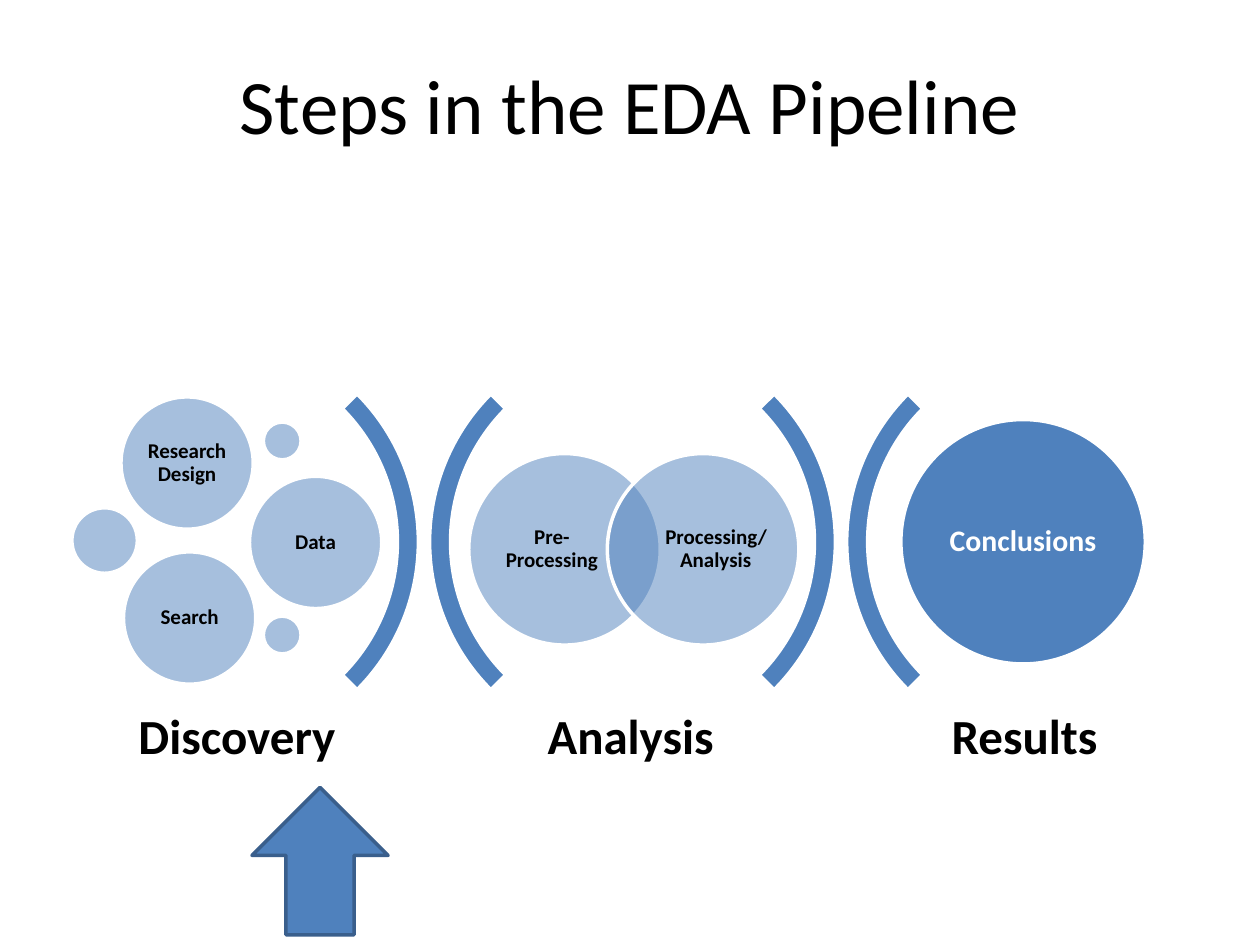
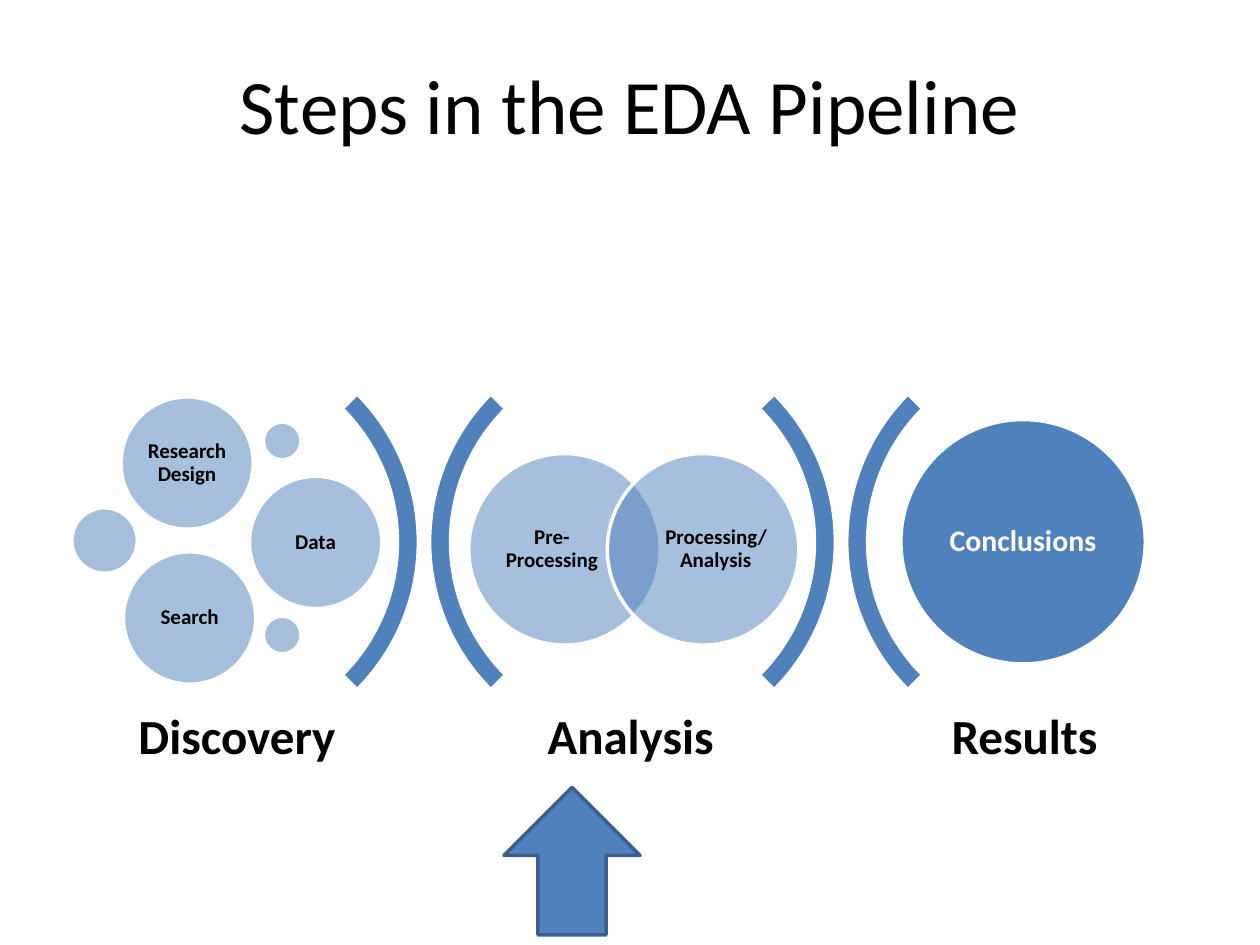
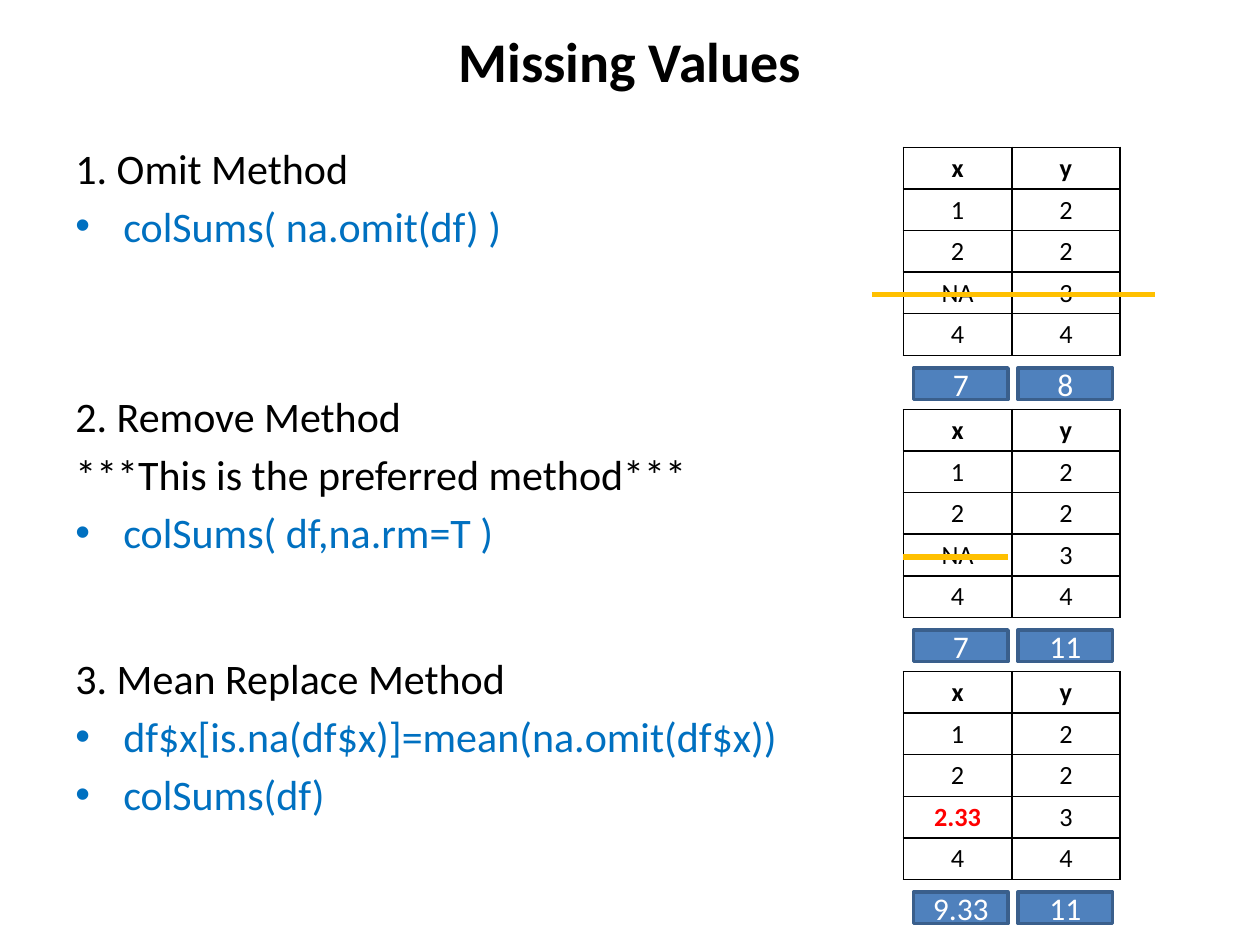
import dataclasses

import lxml.etree
import pptx
import pptx.dml.color
import pptx.enum.shapes
import pptx.enum.text
import pptx.oxml.ns
import pptx.util

Inches = pptx.util.Inches
Pt = pptx.util.Pt
qn = pptx.oxml.ns.qn
PRESET = pptx.enum.shapes.MSO_SHAPE
ALIGN = pptx.enum.text.PP_ALIGN
ANCHOR = pptx.enum.text.MSO_ANCHOR


@dataclasses.dataclass(frozen=True)
class Theme:
    font: str = "Calibri"
    ink: str = "000000"
    paper: str = "FFFFFF"
    blue: str = "4F81BD"
    edge: str = "3A5F8C"
    code: str = "0070C0"
    strike: str = "FFC000"
    replaced: str = "FF0000"
    title: int = 44
    heading: int = 32
    stage: int = 28
    body: int = 24
    total: int = 18
    conclusion: int = 17
    cell: int = 15
    step: int = 12


THEME = Theme()
DEFAULT_INSETS = (0.1, 0.05, 0.1, 0.05)
STAGES = ("Discovery", "Analysis", "Results")
STAGE_PITCH = 3.125
ARC_SIZE = 3.32
ARC_PITCH = 3.31
DISCOVERY_STEPS = (
    ("Research Design", 0.96, 3.15),
    ("Data", 1.98, 3.78),
    ("Search", 0.98, 4.38),
)
DISCOVERY_DOTS = ((0.57, 4.03, 0.52), (2.09, 3.35, 0.3), (2.09, 4.89, 0.3))
METHOD_LINES = (
    ("1. Omit Method", False, 4.4),
    ("colSums( na.omit(df) )", True, 4.4),
    ("2. Remove Method", False, 79.8),
    ("***This is the preferred method***", False, 4.4),
    ("colSums( df,na.rm=T )", True, 4.4),
    ("3. Mean Replace Method", False, 54.7),
    ("df$x[is.na(df$x)]=mean(na.omit(df$x))", True, 4.4),
    ("colSums(df)", True, 4.4),
)
METHOD_RESULTS = (
    ("NA", ("7", "8"), (6.92, 9.17)),
    ("NA", ("7", "11"), (7.17, 8)),
    ("2.33", ("9.33", "11"), None),
)
TABLE_LEFT, TABLE_TOP, TABLE_PITCH = 7.17, 1.17, 2.08
COLUMN_WIDTH, ROW_HEIGHT = 0.86, 0.33


def rgb(value):
    return pptx.dml.color.RGBColor.from_string(value)


def box(left, top, width, height):
    return [Inches(length) for length in (left, top, width, height)]


def write(paragraph, text, *, size, color=THEME.ink, bold=False,
          align=ALIGN.CENTER, spacing=None, before=None):
    paragraph.alignment = align
    if spacing:
        paragraph.line_spacing = spacing
    if before:
        paragraph.space_before = Pt(before)
    run = paragraph.add_run()
    run.text = text
    run.font.name = THEME.font
    run.font.size = Pt(size)
    run.font.bold = bold
    run.font.color.rgb = rgb(color)


def prepare_frame(frame, insets=DEFAULT_INSETS, anchor=ANCHOR.MIDDLE):
    frame.word_wrap = True
    frame.vertical_anchor = anchor
    (frame.margin_left, frame.margin_top,
     frame.margin_right, frame.margin_bottom) = box(*insets)
    return frame.paragraphs[0]


def add_label(slide, area, text, insets=DEFAULT_INSETS, **text_format):
    frame = slide.shapes.add_textbox(*box(*area)).text_frame
    write(prepare_frame(frame, insets), text, **text_format)


def add_solid(slide, preset, area, edge=THEME.paper, opacity=None):
    solid = slide.shapes.add_shape(preset, *box(*area))
    solid.shadow.inherit = False
    solid.fill.solid()
    solid.fill.fore_color.rgb = rgb(THEME.blue)
    solid.line.color.rgb = rgb(edge)
    solid.line.width = Pt(2)
    if opacity:
        color = solid.fill._xPr.find(qn("a:solidFill"))[0]
        lxml.etree.SubElement(color, qn("a:alpha"), val=str(opacity * 1000))
    return solid


def add_circle(slide, left, top, diameter, text="", insets=(0.05,) * 4,
               opacity=50, **text_format):
    circle = add_solid(slide, PRESET.OVAL, (left, top, diameter, diameter),
                       opacity=opacity)
    if text:
        write(prepare_frame(circle.text_frame, insets), text,
              bold=True, spacing=0.9, **text_format)


def add_arc(slide, left, rotation):
    arc = add_solid(slide, PRESET.BLOCK_ARC, (left, 2.64, ARC_SIZE, ARC_SIZE))
    arc.rotation = rotation
    for index, value in enumerate((135, 189, 0.05)):
        arc.adjustments[index] = value


def add_strike(slide, start, end, top):
    strike = slide.shapes.add_connector(
        pptx.enum.shapes.MSO_CONNECTOR.STRAIGHT,
        Inches(start), Inches(top), Inches(end), Inches(top))
    strike.line.color.rgb = rgb(THEME.strike)
    strike.line.width = Pt(3)
    lxml.etree.SubElement(strike._element.spPr, qn("a:effectLst"))


def add_borders(cell):
    properties = cell._tc.get_or_add_tcPr()
    for side in ("a:lnL", "a:lnR", "a:lnT", "a:lnB"):
        border = lxml.etree.SubElement(properties, qn(side), w=str(Pt(1)))
        fill = lxml.etree.SubElement(border, qn("a:solidFill"))
        lxml.etree.SubElement(fill, qn("a:srgbClr"), val=THEME.ink)


def add_data_table(slide, top, missing):
    rows = (("x", "y"), ("1", "2"), ("2", "2"), (missing, "3"), ("4", "4"))
    table = slide.shapes.add_table(
        len(rows), 2,
        *box(TABLE_LEFT, top, 2 * COLUMN_WIDTH, len(rows) * ROW_HEIGHT)).table
    table.first_row = table.horz_banding = False
    for column in table.columns:
        column.width = Inches(COLUMN_WIDTH)
    for row_index, values in enumerate(rows):
        table.rows[row_index].height = Inches(ROW_HEIGHT)
        for column_index, value in enumerate(values):
            cell = table.cell(row_index, column_index)
            (cell.margin_left, cell.margin_top,
             cell.margin_right, cell.margin_bottom) = box(0.08, 0.04, 0.08, 0.04)
            add_borders(cell)
            cell.fill.background()
            is_mean = value == "2.33"
            write(cell.text_frame.paragraphs[0], value, size=THEME.cell,
                  bold=row_index == 0 or is_mean,
                  color=THEME.replaced if is_mean else THEME.ink)


def add_totals(slide, top, totals):
    for index, total in enumerate(totals):
        badge = add_solid(slide, PRESET.RECTANGLE,
                          (7.25 + 0.83 * index, top, 0.75, 0.25), THEME.edge)
        write(prepare_frame(badge.text_frame), total,
              size=THEME.total, color=THEME.paper)


def add_methods(slide):
    frame = slide.shapes.add_textbox(*box(0.5, 1.08, 6.58, 6.17)).text_frame
    paragraph = prepare_frame(frame, anchor=ANCHOR.TOP)
    for index, (text, is_code, before) in enumerate(METHOD_LINES):
        if index:
            paragraph = frame.add_paragraph()
        write(paragraph, text, size=THEME.body, align=ALIGN.LEFT, before=before,
              color=THEME.code if is_code else THEME.ink)
        properties = paragraph._p.get_or_add_pPr()
        properties.set("marL", str(Inches(0.38)))
        properties.set("indent", str(-Inches(0.38)))
        if is_code:
            lxml.etree.SubElement(properties, qn("a:buFont"), typeface="Arial")
            lxml.etree.SubElement(properties, qn("a:buChar"), char="•")
        else:
            lxml.etree.SubElement(properties, qn("a:buNone"))


def build_pipeline(slide, arrow_left):
    add_label(slide, (0, 0, 10, 1.65), "Steps in the EDA Pipeline", size=THEME.title)
    for index in range(2):
        add_arc(slide, ARC_PITCH * index, 90)
        add_arc(slide, 3.41 + ARC_PITCH * index, 270)
    for left, top, diameter in DISCOVERY_DOTS:
        add_circle(slide, left, top, diameter)
    for step, left, top in DISCOVERY_STEPS:
        add_circle(slide, left, top, 1.05, step, size=THEME.step)
    add_circle(slide, 3.72, 3.6, 1.52, "Pre-Processing",
               insets=(0, 0, 0.2, 0), size=THEME.step)
    add_circle(slide, 4.82, 3.6, 1.52, "Processing/Analysis",
               insets=(0.2, 0, 0, 0), size=THEME.step)
    add_circle(slide, 7.15, 3.33, 1.94, "Conclusions", opacity=None,
               size=THEME.conclusion, color=THEME.paper)
    for index, stage in enumerate(STAGES):
        add_label(slide, (0.62 + STAGE_PITCH * index, 5.53, 2.52, 0.66), stage,
                  insets=(0.12,) * 4, size=THEME.stage, bold=True, spacing=0.9)
    add_solid(slide, PRESET.UP_ARROW, (arrow_left, 6.25, 1.08, 1.17), THEME.edge)


def build_missing_values(slide):
    add_methods(slide)
    add_label(slide, (0.69, 0.18, 8.62, 0.66), "Missing Values",
              size=THEME.heading, bold=True, spacing=0.9)
    for index, (missing, totals, strike) in enumerate(METHOD_RESULTS):
        top = TABLE_TOP + TABLE_PITCH * index
        add_data_table(slide, top, missing)
        add_totals(slide, top + 1.75, totals)
        if strike:
            add_strike(slide, *strike, top + 1.17)


def main():
    deck = pptx.Presentation()
    deck.slide_width, deck.slide_height = Inches(10), Inches(7.5)
    blank = deck.slide_layouts[6]
    for arrow_left in (2, 4):
        build_pipeline(deck.slides.add_slide(blank), arrow_left)
    build_missing_values(deck.slides.add_slide(blank))
    deck.save("out.pptx")


if __name__ == "__main__":
    main()
